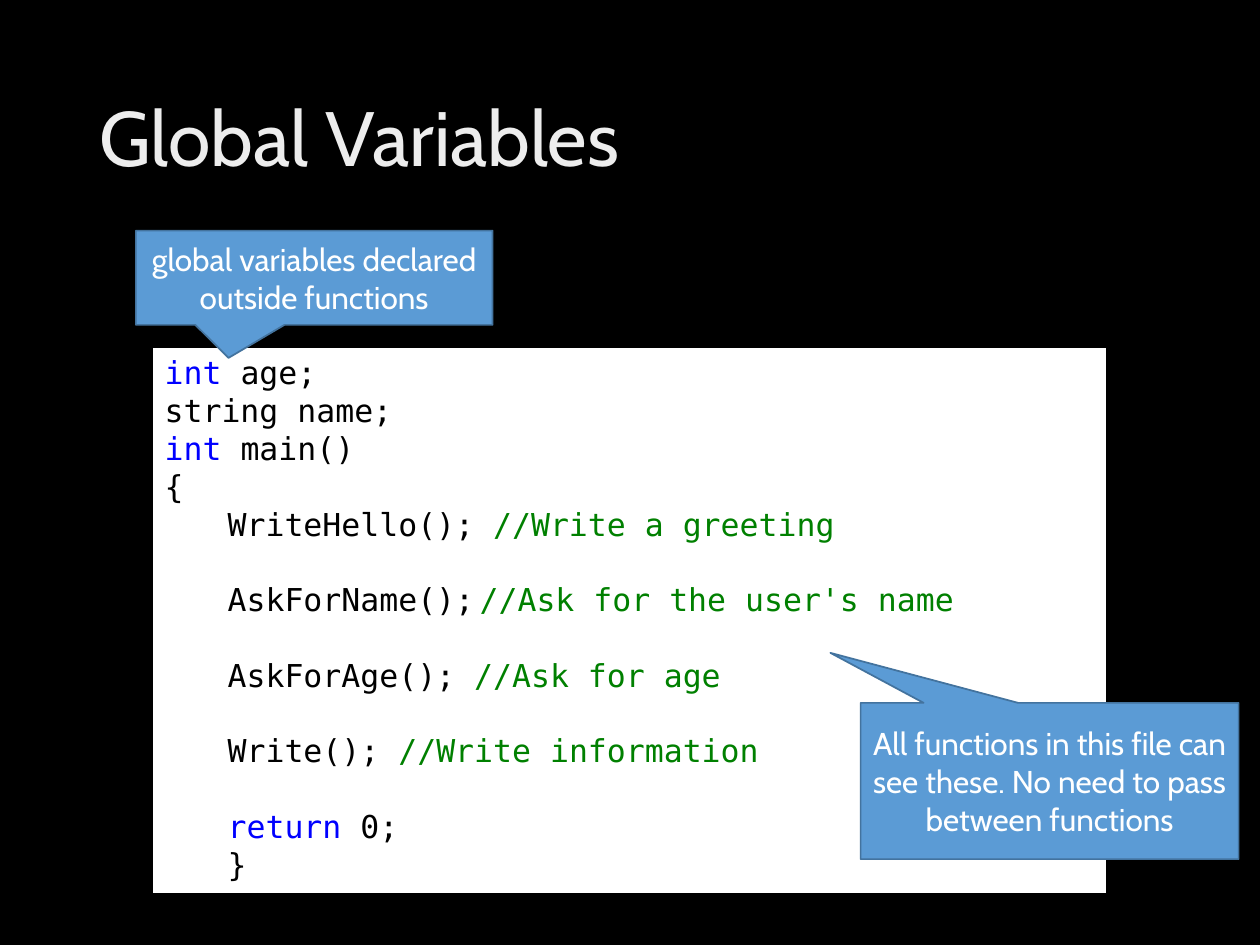
from dataclasses import dataclass

from lxml import etree
from pptx import Presentation
from pptx.dml.color import RGBColor
from pptx.enum.shapes import MSO_SHAPE
from pptx.enum.text import MSO_ANCHOR, PP_ALIGN
from pptx.oxml.ns import qn
from pptx.util import Cm, Pt

RECT = MSO_SHAPE.RECTANGLE
CALLOUT = MSO_SHAPE.RECTANGULAR_CALLOUT
TOP, MIDDLE = MSO_ANCHOR.TOP, MSO_ANCHOR.MIDDLE
LEFT, CENTER = PP_ALIGN.LEFT, PP_ALIGN.CENTER

COLORS = {
    "back": "000000", "title": "EDEDED", "panel": "FFFFFF",
    "box": "5B9BD5", "edge": "43739E", "label": "FFFFFF",
    "plain": "000000", "key": "0000FF", "note": "008000",
}
SANS, MONO = "Cabin", "DejaVu Sans Mono"
SIZE = 18
PITCH = Pt(21.6)
INDENT = Cm(1.27)
TAB = Cm(7.77)


@dataclass
class Box:
    left: float
    top: float
    width: float
    height: float

    def place(self) -> tuple:
        return tuple(Cm(n) for n in (self.left, self.top, self.width, self.height))


@dataclass
class Line:
    runs: list[tuple[str, str]]
    deep: bool = False
    gap: bool = False
    tab: bool = False


@dataclass
class Callout:
    text: str
    box: Box
    tip: tuple[float, float]


PANEL = Box(3.07, 7, 19.25, 11.02)
CODE = [
    Line([("int", "key"), (" age;", "plain")]),
    Line([("string name;", "plain")]),
    Line([("int", "key"), (" main()", "plain")]),
    Line([("{", "plain")]),
    Line([("WriteHello(); ", "plain"), ("//Write a greeting", "note")], deep=True),
    Line([("AskForName();\t", "plain"), ("//Ask for the user's name", "note")],
         deep=True, gap=True, tab=True),
    Line([("AskForAge(); ", "plain"), ("//Ask for age", "note")], deep=True, gap=True),
    Line([("Write(); ", "plain"), ("//Write information", "note")], deep=True, gap=True),
    Line([("return", "key"), (" 0;", "plain")], deep=True, gap=True),
    Line([("}", "plain")], deep=True),
]
CALLOUTS = [
    Callout("global variables declared outside functions",
            Box(2.74, 4.65, 7.19, 1.9), (-0.24, 0.85)),
    Callout("All functions in this file can see these. No need to pass between functions",
            Box(17.35, 14.17, 7.62, 3.15), (-0.58, -0.82)),
]


def rgb(name: str) -> RGBColor:
    return RGBColor.from_string(COLORS[name])


def add_run(para, text: str, color: str, font: str = SANS, size: int = SIZE) -> None:
    run = para.add_run()
    run.text = text
    run.font.name = font
    run.font.size = Pt(size)
    run.font.color.rgb = rgb(color)


def add_box(slide, kind, box: Box, fill: str, edge: str, anchor):
    shape = slide.shapes.add_shape(kind, *box.place())
    shape.shadow.inherit = False
    shape.fill.solid()
    shape.fill.fore_color.rgb = rgb(fill)
    shape.line.color.rgb = rgb(edge)
    shape.line.width = Pt(1)
    shape.text_frame.word_wrap = True
    shape.text_frame.vertical_anchor = anchor
    return shape


def add_title(slide, text: str) -> None:
    title = slide.shapes.title
    title.left, title.top, title.width, title.height = Box(1.75, 1.02, 21.89, 3.68).place()
    title.text_frame.vertical_anchor = MIDDLE
    para = title.text_frame.paragraphs[0]
    para.alignment = LEFT
    para.line_spacing = 0.9
    add_run(para, text, "title", size=44)


def add_code(slide, lines: list[Line]) -> None:
    frame = add_box(slide, RECT, PANEL, "panel", "plain", TOP).text_frame
    for i, line in enumerate(lines):
        para = frame.add_paragraph() if i else frame.paragraphs[0]
        para.alignment = LEFT
        para.line_spacing = PITCH
        para.space_before = PITCH if line.gap else Pt(0)
        props = para._p.get_or_add_pPr()
        if line.deep:
            para.level = 1
            props.set("marL", str(INDENT))
            props.set("indent", "0")
        if line.tab:
            stops = etree.SubElement(props, qn("a:tabLst"))
            etree.SubElement(stops, qn("a:tab"), pos=str(TAB), algn="l")
        for text, color in line.runs:
            add_run(para, text, color, MONO)


def add_callout(slide, item: Callout) -> None:
    shape = add_box(slide, CALLOUT, item.box, "box", "edge", MIDDLE)
    shape.adjustments[0], shape.adjustments[1] = item.tip
    para = shape.text_frame.paragraphs[0]
    para.alignment = CENTER
    add_run(para, item.text, "label")


def main() -> None:
    deck = Presentation()
    deck.slide_width, deck.slide_height = Cm(25.4), Cm(19.05)
    slide = deck.slides.add_slide(deck.slide_layouts[5])
    slide.background.fill.solid()
    slide.background.fill.fore_color.rgb = rgb("back")
    add_title(slide, "Global Variables")
    add_code(slide, CODE)
    for item in CALLOUTS:
        add_callout(slide, item)
    deck.save("out.pptx")


if __name__ == "__main__":
    main()
